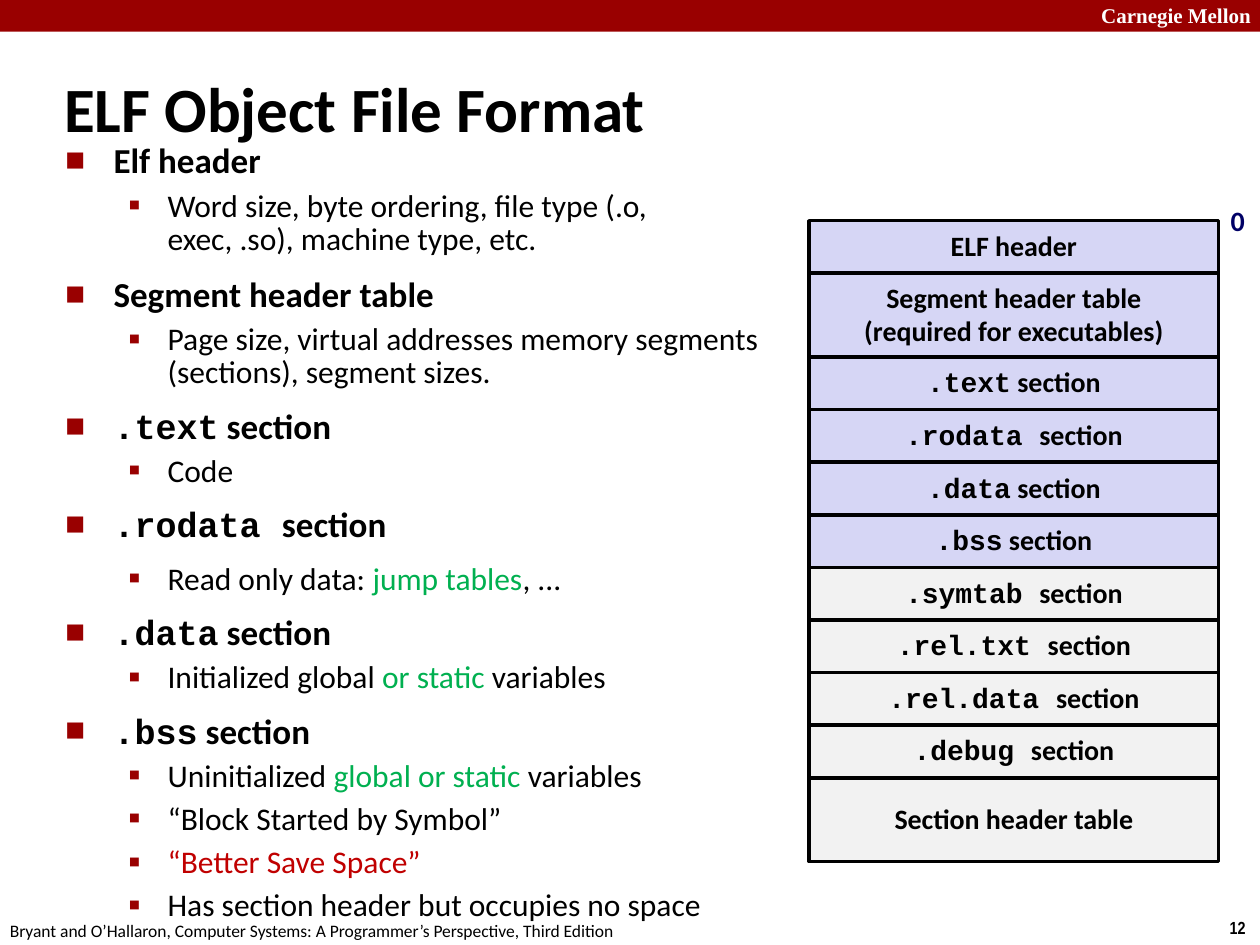
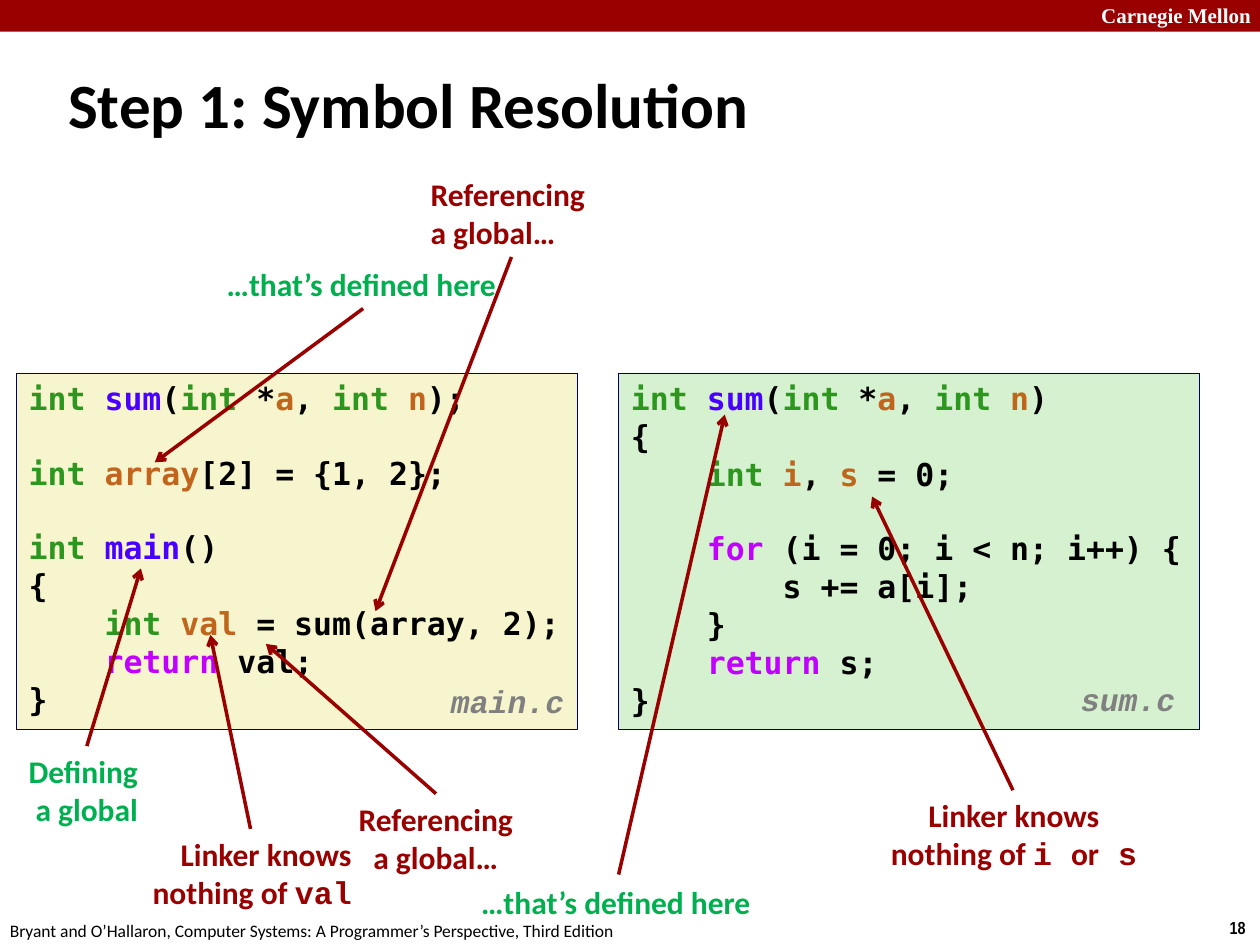
from lxml import etree
from pptx import Presentation
from pptx import util as u
from pptx.dml.color import RGBColor
from pptx.enum import shapes, text
from pptx.oxml.ns import qn

HUES = {
    "black": "000000", "white": "FFFFFF", "red": "990000", "alert": "C00000",
    "green": "00B050", "navy": "000066", "gray": "808080",
    "lilac": "D6D6F5", "pale": "F2F2F2", "cream": "F7F5CD", "mint": "D5F1CF",
    "type": "2D961E", "func": "4A00FF", "name": "C1651C", "word": "C200FF",
}
SANS, MONO, CODE = "Calibri", "Courier New", "DejaVu Sans Mono"
LEFT, MID, RIGHT = text.PP_ALIGN.LEFT, text.PP_ALIGN.CENTER, text.PP_ALIGN.RIGHT


def write(para, runs, size, font=SANS, hue="black", bold=True, slant=False):
    """Add runs: each is a string, or (string, font or colour name)."""
    for part in runs:
        word, look = (part, None) if isinstance(part, str) else part
        run = para.add_run()
        run.text = word
        run.font.size = u.Pt(size)
        run.font.bold, run.font.italic = bold, slant
        run.font.name = look if look in (SANS, MONO) else font
        tint = look if look in HUES else hue
        run.font.color.rgb = RGBColor.from_string(HUES[tint])


def put(page, spot, rows, size=18, fill=None, edge=None, wide=0.25,
        align=LEFT, lead=None, wrap=False, mid=False, **look):
    """Place a box with one paragraph per row; None stands for a skipped line."""
    area = [u.Cm(n) for n in spot]
    if fill:
        box = page.shapes.add_shape(shapes.MSO_SHAPE.RECTANGLE, *area)
        box.shadow.inherit = False
        box.fill.solid()
        box.fill.fore_color.rgb = RGBColor.from_string(HUES[fill])
        if edge:
            box.line.color.rgb = RGBColor.from_string(HUES[edge])
            box.line.width = u.Pt(wide)
        else:
            box.line.fill.background()
    else:
        box = page.shapes.add_textbox(*area)
    frame = box.text_frame
    frame.word_wrap = wrap
    frame.vertical_anchor = text.MSO_ANCHOR.MIDDLE if mid else text.MSO_ANCHOR.TOP
    para, skip = None, False
    for row in rows:
        if row is None:
            skip = True
            continue
        para = frame.add_paragraph() if para is not None else frame.paragraphs[0]
        para.alignment = align
        if lead:
            para.line_spacing = lead
        if skip:
            para.space_before = u.Pt(21)
            skip = False
        write(para, row, size, **look)
    return frame


deck = Presentation()
deck.slide_width, deck.slide_height = u.Cm(25.4), u.Cm(19.05)

# Shared band, footer, number and title
pages = []
for head, num, x, y in [("ELF Object File Format", "12", 1.04, 1.07),
                        ("Step 1: Symbol Resolution", "18", 1.12, 0.99)]:
    page = deck.slides.add_slide(deck.slide_layouts[5])
    pages.append(page)
    put(page, (0, 0, 25.4, 0.64), [], fill="red")
    put(page, (21.95, -0.08, 3.63, 0.76), [["Carnegie Mellon"]], 12,
        font="Times New Roman", hue="white", wrap=True)
    put(page, (24.54, 18.36, 0.86, 0.69), [[num]], 10, font="Arial Narrow")
    put(page, (-0.05, 18.42, 12.9, 0.69),
        [["Bryant and O’Hallaron, Computer Systems: "
          "A Programmer’s Perspective, Third Edition"]], 10, bold=False)
    title = page.shapes.title
    title.left, title.top = u.Cm(x), u.Cm(y)
    title.width, title.height = u.Cm(24.21), u.Cm(2.18)
    frame = title.text_frame
    frame.auto_size = text.MSO_AUTO_SIZE.NONE
    frame.vertical_anchor = text.MSO_ANCHOR.MIDDLE
    frame.paragraphs[0].alignment = LEFT
    write(frame.paragraphs[0], [head], 36)
elf, link = pages

# ELF slide: bullets as (level, runs)
items = [
    (0, ["Elf header"]),
    (1, ["Word size, byte ordering, file type (.o, exec, .so), machine type, etc."]),
    (0, ["Segment header table"]),
    (1, ["Page size, virtual addresses memory segments (sections), segment sizes."]),
    (0, [(".text", MONO), " section"]),
    (1, ["Code"]),
    (0, [(".rodata ", MONO), "section"]),
    (1, ["Read only data: ", ("jump tables", "green"), ", ..."]),
    (0, [(".data", MONO), " section"]),
    (1, ["Initialized global ", ("or static", "green"), " variables"]),
    (0, [(".bss", MONO), " section"]),
    (1, ["Uninitialized ", ("global or static ", "green"), "variables"]),
    (1, ["“Block Started by Symbol”"]),
    (1, [("“Better Save Space”", "alert")]),
    (1, ["Has section header but occupies no space"]),
]
# Per level: margin, hang, line spacing, space before, size, bullet, bullet scale
ranks = [(0.97, 0.97, 0.83, 12.5, 20, "■", 60),
         (2.06, 0.79, 0.88, 5.6, 18, "▪", 110)]
frame = put(elf, (1.07, 2.82, 14.86, 14.96), [], wrap=True)
for i, (rank, runs) in enumerate(items):
    margin, hang, lead, gap, size, mark, scale = ranks[rank]
    if runs[0] == "Read only data: ":
        lead, gap = 0.8, 12.5
    elif (runs[0][1] == MONO):
        lead = 0.8
    para = frame.add_paragraph() if i else frame.paragraphs[0]
    para.level = rank
    props = para._p.get_or_add_pPr()
    props.set("marL", str(u.Cm(margin)))
    props.set("indent", str(-u.Cm(hang)))
    tint = etree.SubElement(props, qn("a:buClr"))
    etree.SubElement(tint, qn("a:srgbClr"), val=HUES["red"])
    etree.SubElement(props, qn("a:buSzPct"), val=str(scale * 1000))
    etree.SubElement(props, qn("a:buFont"), typeface=SANS)
    etree.SubElement(props, qn("a:buChar"), char=mark)
    para.line_spacing = lead
    if i:
        para.space_before = u.Pt(gap)
    write(para, runs, size, bold=rank == 0)

# ELF slide: stack of file sections
stack = [
    ("lilac", 1.06, [["ELF header"]]),
    ("lilac", 1.69, [["Segment header table"], ["(required for executables)"]]),
    ("lilac", 1.06, [[(".text", MONO), " section"]]),
    ("lilac", 1.06, [[(".rodata ", MONO), "section"]]),
    ("lilac", 1.06, [[(".data", MONO), " section"]]),
    ("lilac", 1.06, [[(".bss", MONO), " section"]]),
    ("pale", 1.06, [[(".symtab ", MONO), "section"]]),
    ("pale", 1.06, [[(".rel.txt ", MONO), "section"]]),
    ("pale", 1.06, [[(".rel.data ", MONO), "section"]]),
    ("pale", 1.06, [[(".debug ", MONO), "section"]]),
    ("pale", 1.69, [["Section header table"]]),
]
top = 4.45
for fill, tall, rows in stack:
    lead = 0.94 if rows[0][0][1] == MONO else 0.98
    put(elf, (16.31, top, 8.26, tall), rows, 16, fill, "black", 2,
        align=MID, lead=lead, mid=True)
    top += tall
put(elf, (24.56, 4.01, 0.79, 0.94), [["0"]], 16, hue="navy", lead=0.98)

# Symbol slide: code panels
INT = ("int ", "type")
proto = [INT, ("sum", "func"), "(", ("int", "type"), " *", ("a", "name"),
         ", ", INT, ("n", "name")]
main = [
    proto + [");"],
    None,
    [INT, ("array", "name"), "[2] = {1, 2};"],
    None,
    [INT, ("main", "func"), "()"],
    ["{"],
    ["    ", INT, ("val", "name"), " = sum(array, 2);"],
    ["    ", ("return", "word"), " val;"],
    ["}"],
]
total = [
    proto + [")"],
    ["{"],
    ["    ", INT, ("i", "name"), ", ", ("s", "name"), " = 0;"],
    None,
    ["    ", ("for", "word"), " (i = 0; i < n; i++) {"],
    ["        s += a[i];"],
    ["    }"],
    ["    ", ("return", "word"), " s;"],
    ["}"],
]
for x, wide, fill, rows, file, spot in [
        (0.33, 11.3, "cream", main, "main.c", (8.84, 13.69, 2.79, 0.99)),
        (12.47, 11.71, "mint", total, "sum.c", (21.54, 13.64, 2.59, 0.99))]:
    put(link, (x, 7.52, wide, 7.19), rows, fill=fill, edge="navy", font=CODE)
    put(link, spot, [[file]], font=MONO, hue="gray", slant=True, lead=0.94)

# Symbol slide: notes, each with its arrow
there = [["…that’s defined here"]]
notes = [
    ((8.43, 3.4, 3.71, 1.8), LEFT, "red", [["Referencing"], ["a global…"]],
     (10.31, 5.18, 7.57, 12.32)),
    ((0.3, 15.04, 2.9, 1.8), MID, "green", [["Defining "], ["a global"]],
     (1.75, 15.04, 2.84, 11.46)),
    ((2.77, 16.71, 4.57, 1.8), RIGHT, "red",
     [["Linker knows"], ["nothing of ", ("val", MONO)]],
     (5.05, 16.71, 4.24, 12.8)),
    ((6.93, 16, 3.71, 1.8), MID, "red", [["Referencing"], ["a global…"]],
     (8.79, 16, 5.36, 12.98)),
    ((9.45, 17.68, 6.05, 1.02), LEFT, "green", there,
     (12.47, 17.63, 14.61, 8.36)),
    ((17.58, 15.93, 5.72, 1.8), MID, "red",
     [["Linker knows"], ["nothing of ", ("i ", MONO), "or", (" s", MONO)]],
     (20.42, 15.93, 17.58, 10.01)),
    ((4.32, 5.21, 6.05, 1.02), LEFT, "green", there,
     (7.32, 6.22, 3.12, 9.32)),
]
for spot, align, hue, rows, ends in notes:
    put(link, spot, rows, align=align, hue=hue)
    line = link.shapes.add_connector(shapes.MSO_CONNECTOR.STRAIGHT,
                                     *[u.Cm(n) for n in ends])
    line.line.color.rgb = RGBColor.from_string(HUES["red"])
    line.line.width = u.Pt(2)
    etree.SubElement(line.line._get_or_add_ln(), qn("a:tailEnd"), type="arrow")
    etree.SubElement(line._element.spPr, qn("a:effectLst"))

deck.save("out.pptx")
